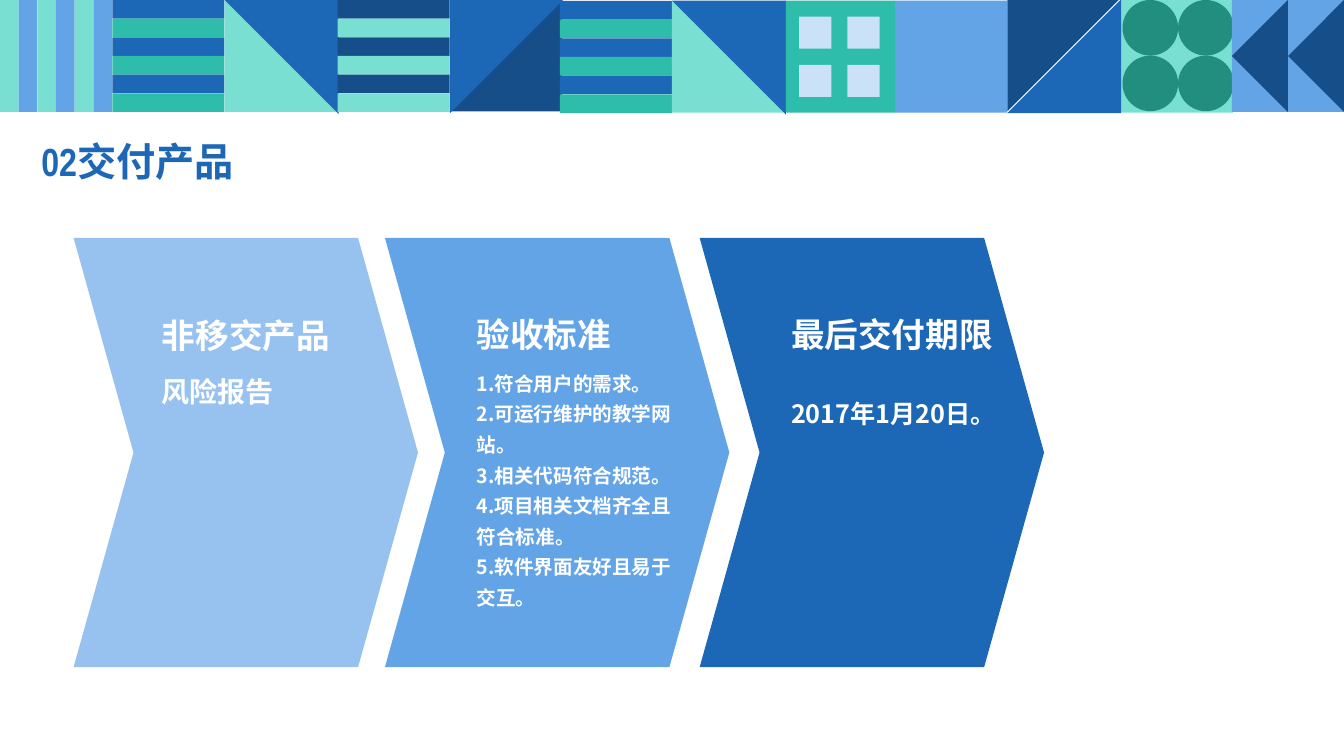
from lxml import etree
from pptx import Presentation
from pptx.dml.color import RGBColor
from pptx.enum.shapes import MSO_SHAPE
from pptx.enum.text import MSO_ANCHOR, MSO_AUTO_SIZE, PP_ALIGN
from pptx.oxml.ns import qn
from pptx.util import Pt

RECT = MSO_SHAPE.RECTANGLE
OVAL = MSO_SHAPE.OVAL
CORNER = MSO_SHAPE.RIGHT_TRIANGLE
ARROW = MSO_SHAPE.ISOSCELES_TRIANGLE
CHEVRON = MSO_SHAPE.CHEVRON
MIDDLE = MSO_ANCHOR.MIDDLE
LEFT = PP_ALIGN.LEFT
FIXED = MSO_AUTO_SIZE.NONE
GROW = MSO_AUTO_SIZE.SHAPE_TO_FIT_TEXT

COLORS = {
    "blue": "1C68B6", "navy": "154E88", "sky": "63A4E7", "pale": "97C2EF",
    "ice": "CBE1F7", "teal": "2DBDAA", "mint": "79DFD2", "green": "228E80",
    "white": "FFFFFF",
}
HEAD_FONT = "Arial Narrow"
BODY_FONT = "Noto Sans CJK SC"
TILE = 80
STRIPES = 6


class Deck:
    def __init__(self):
        self.prs = Presentation()
        self.prs.slide_width, self.prs.slide_height = Pt(960), Pt(540)
        self.slide = self.prs.slides.add_slide(self.prs.slide_layouts[5])

    def color(self, name):
        return RGBColor.from_string(COLORS[name])

    def shape(self, kind, x, y, w, h, fill, rotation=0):
        shape = self.slide.shapes.add_shape(kind, Pt(x), Pt(y), Pt(w), Pt(h))
        shape.shadow.inherit = False
        shape.fill.solid()
        shape.fill.fore_color.rgb = self.color(fill)
        shape.line.fill.background()
        shape.rotation = rotation
        return shape

    def style(self, paragraph, size, font, color, spacing):
        paragraph.alignment = LEFT
        paragraph.line_spacing = spacing
        paragraph.font.size = Pt(size)
        paragraph.font.bold = True
        paragraph.font.name = font
        paragraph.font.color.rgb = self.color(color)
        defaults = paragraph._p.pPr.find(qn("a:defRPr"))
        etree.SubElement(defaults, qn("a:ea"), typeface=BODY_FONT)

    def title(self, text, x, y, w, h):
        title = self.slide.shapes.title
        title.left, title.top, title.width, title.height = Pt(x), Pt(y), Pt(w), Pt(h)
        frame = title.text_frame
        frame.text = text
        frame.auto_size = FIXED
        frame.vertical_anchor = MIDDLE
        frame.paragraphs[0].space_before = Pt(10)
        self.style(frame.paragraphs[0], 28, HEAD_FONT, "blue", 0.9)

    def text(self, lines, x, y, w, h, size, font, spacing, wrap=True):
        frame = self.slide.shapes.add_textbox(Pt(x), Pt(y), Pt(w), Pt(h)).text_frame
        frame.word_wrap = wrap
        frame.auto_size = GROW
        frame.text = "\n".join(lines)
        for paragraph in frame.paragraphs:
            self.style(paragraph, size, font, "white", spacing)

    def stripes(self, x, y, fills, upright=False):
        step = TILE / STRIPES
        for i in range(STRIPES):
            fill = fills[i % 2]
            if upright:
                self.shape(RECT, x + i * step, y, step, TILE, fill)
            else:
                self.shape(RECT, x, y + i * step, TILE, step, fill)

    def corners(self, x, y, first, second, first_turn, second_turn):
        self.shape(CORNER, x, y, TILE, TILE, first, first_turn)
        self.shape(CORNER, x, y, TILE + 1.3, TILE + 1.3, second, second_turn)

    def grid(self, kind, x, y, size, step, fill):
        for row in range(2):
            for column in range(2):
                self.shape(kind, x + column * step, y + row * step, size, size, fill)

    def stage(self, x, fill, text_x, heading, heading_y, heading_w, lines, y, h, size):
        chevron = self.shape(CHEVRON, x, 170, 246, 306.5, fill)
        chevron.adjustments[0] = 0.174
        self.text(lines, text_x, y, 166.5, h, size, BODY_FONT, 1.3)
        self.text([heading], text_x, heading_y, heading_w, 51, 24, HEAD_FONT, 1.5, False)


def draw_banner(deck):
    deck.stripes(0, 0, ("mint", "sky"), upright=True)
    deck.stripes(80.3, 0, ("blue", "teal"))
    deck.corners(160.5, 0, "mint", "blue", 0, 180)
    deck.stripes(241.2, 0, ("navy", "mint"))
    deck.corners(321.3, -0.4, "navy", "blue", 270, 90)
    deck.stripes(400, 0.7, ("blue", "teal"))
    deck.corners(480, 0.5, "mint", "blue", 0, 180)
    deck.shape(RECT, 561.3, 0.5, 78.3, TILE, "teal")
    deck.grid(RECT, 570.8, 11.8, 23, 34.5, "ice")
    deck.shape(RECT, 639.5, 0.5, TILE, TILE, "sky")
    deck.shape(RECT, 800.8, 0, TILE, 80.5, "mint")
    deck.grid(OVAL, 801.8, 0, 39.7, 39.7, "green")
    deck.corners(719.5, -0.5, "navy", "blue", 90, 270)
    deck.shape(RECT, 880, 0, TILE, TILE, "sky")
    for x in (860, 900):
        deck.shape(ARROW, x, 20, TILE, TILE / 2, "navy", 270)


def main():
    deck = Deck()
    draw_banner(deck)
    deck.title("02交付产品", 22.3, 94.3, 276.5, 45.4)
    criteria = [
        "1.符合用户的需求。",
        "2.可运行维护的教学网站。",
        "3.相关代码符合规范。",
        "4.项目相关文档齐全且符合标准。",
        "5.软件界面友好且易于交互。",
    ]
    deck.stage(52.6, "pale", 108.5, "非移交产品", 207.2, 134.5,
               ["风险报告"], 257, 39, 20)
    deck.stage(275, "sky", 333.3, "验收标准", 206, 110.4,
               criteria, 257, 183.6, 14)
    deck.stage(499.8, "blue", 558, "最后交付期限", 206, 158.4,
               ["2017年1月20日。"], 274.3, 35.3, 18)
    deck.prs.save("out.pptx")


if __name__ == "__main__":
    main()
